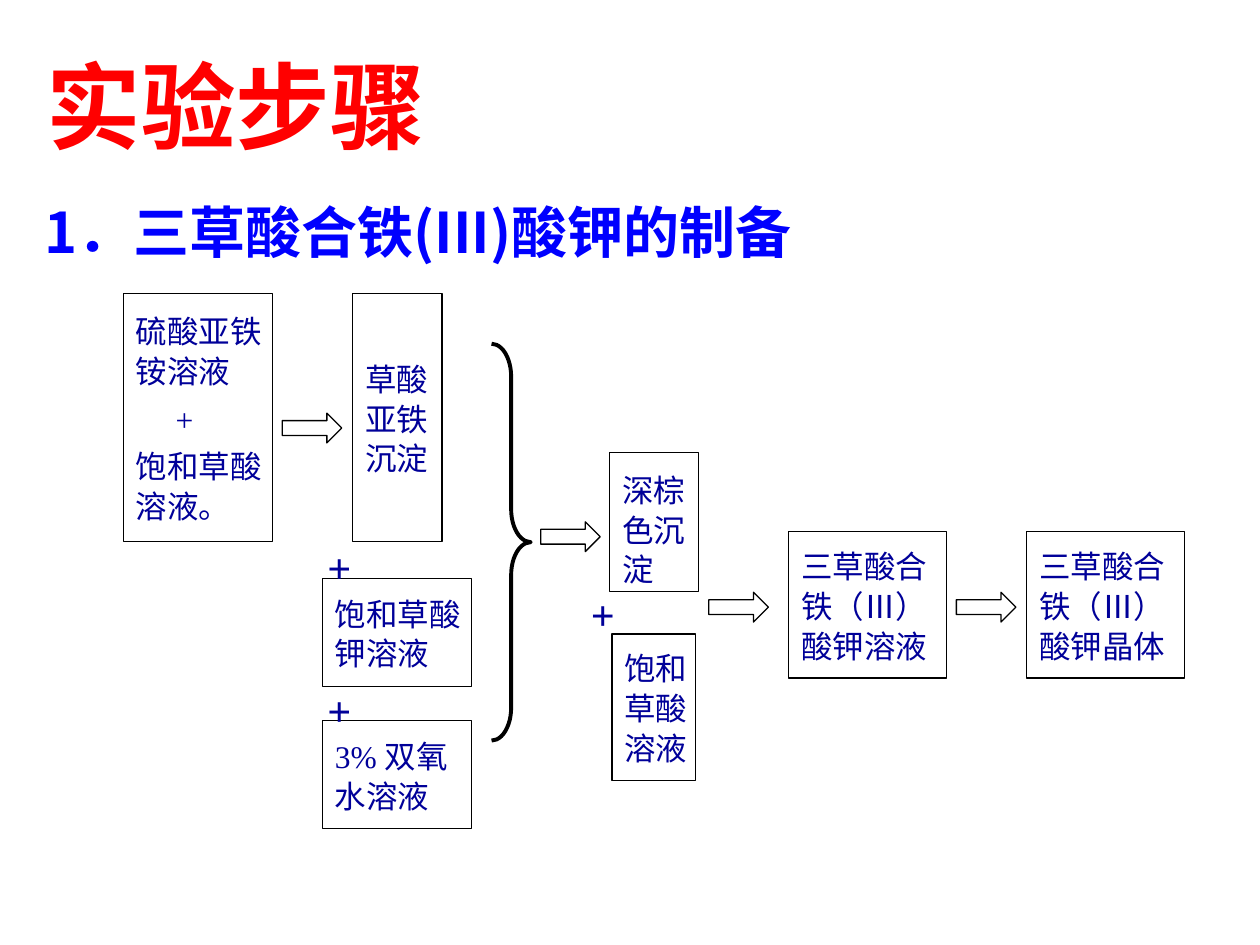
from pptx import Presentation, util as u
from pptx.dml.color import RGBColor
from pptx.enum import shapes, text
from pptx.oxml.ns import qn
from lxml import etree

THEME = {
    "red": "FF0000", "blue": "0000FF", "navy": "000099", "black": "000000",
    "sans": "Noto Sans CJK SC", "serif": "Times New Roman",
    "title": 54, "subtitle": 32, "plus": 24, "body": 18,
    "thin": 0.75, "thick": 2.25,
}

# All positions and sizes are in centimetres: left, top, width, height.
TITLE = ("实验步骤", (0.69, 0.53, 22.86, 3.18))
SUBTITLE = ("1．三草酸合铁(III)酸钾的制备", (0.64, 3.86, 18.92, 1.63))
STEPS = {
    "reagents": (["硫酸亚铁铵溶液", "+", "饱和草酸溶液。"], (2.49, 5.92, 3, 5)),
    "oxalate": (["草酸亚铁沉淀"], (7.11, 5.92, 1.8, 5)),
    "potassium": (["饱和草酸钾溶液"], (6.5, 11.66, 3, 2.18)),
    "peroxide": (["3% 双氧水溶液"], (6.5, 14.53, 3, 2.18)),
    "brown": (["深棕色沉淀"], (12.29, 9.12, 1.8, 2.8)),
    "acid": (["饱和草酸溶液"], (12.34, 12.78, 1.68, 2.95)),
    "solution": (["三草酸合铁（Ⅲ）酸钾溶液"], (15.9, 10.72, 3.18, 2.95)),
    "crystals": (["三草酸合铁（Ⅲ）酸钾晶体"], (20.7, 10.72, 3.18, 2.95)),
}
BRACE = (9.91, 6.93, 0.79, 8)
PLUSES = [(6.35, 10.49), (6.35, 13.36), (11.66, 11.43)]
PLUS_SIZE = (2.9, 1.57)
ARROW_SIZE = (1.2, 0.6)
ARROW_GAP = 0.2
# Each arrow follows the place named first; the number is its middle height.
ARROWS = [("reagents", 8.63), ("brace", 10.82), ("brown", 12.24), ("solution", 12.24)]


def lengths(values):
    return [u.Cm(value) for value in values]


def write(box, lines, size, color, font, bold=False, middle=False,
          spacing=None, before=0, right=0.25, top=0.13, indents=None):
    """Fill a box with paragraphs; indents maps a paragraph index to its indent."""
    frame = box.text_frame
    frame.word_wrap = True
    frame.margin_left, frame.margin_right = lengths((0.25, right))
    frame.margin_top, frame.margin_bottom = lengths((top, 0.13))
    frame.vertical_anchor = text.MSO_ANCHOR.MIDDLE if middle else text.MSO_ANCHOR.TOP
    for index, line in enumerate(lines):
        para = frame.paragraphs[0] if index == 0 else frame.add_paragraph()
        para.alignment = text.PP_ALIGN.LEFT
        if spacing:
            para.line_spacing = spacing
        if index:
            para.space_before = u.Pt(before)
        if indents and index in indents:
            para._p.get_or_add_pPr().set("marL", str(u.Cm(indents[index])))
        span = para.add_run()
        span.text = line
        span.font.size = u.Pt(size)
        span.font.bold = bold
        span.font.color.rgb = RGBColor.from_string(color)
        span.font.name = font
        east_asian = etree.SubElement(span._r.get_or_add_rPr(), qn("a:ea"))
        east_asian.set("typeface", THEME["sans"])


def add_outline(page, kind, place, width=THEME["thin"]):
    shape = page.shapes.add_shape(kind, *lengths(place))
    shape.shadow.inherit = False
    shape.fill.background()
    shape.line.color.rgb = RGBColor.from_string(THEME["black"])
    shape.line.width = u.Pt(width)
    return shape


def add_label(page, line, place, **style):
    write(page.shapes.add_textbox(*lengths(place)), [line], **style)


def main():
    deck = Presentation()
    deck.slide_width, deck.slide_height = lengths((25.4, 19.05))
    page = deck.slides.add_slide(deck.slide_layouts[6])

    add_label(page, *TITLE, size=THEME["title"], color=THEME["red"],
              font=THEME["sans"], bold=True, middle=True)
    add_label(page, *SUBTITLE, size=THEME["subtitle"], color=THEME["blue"],
              font=THEME["sans"], bold=True)

    for name, (lines, place) in STEPS.items():
        box = add_outline(page, shapes.MSO_SHAPE.RECTANGLE, place)
        write(box, lines, THEME["body"], THEME["navy"], THEME["serif"],
              middle=True, spacing=1.05, before=4.5, right=0.03,
              top=0.4 if name == "brown" else 0.13,
              indents={1: 0.8})

    brace = add_outline(page, shapes.MSO_SHAPE.RIGHT_BRACE, BRACE, THEME["thick"])
    brace.adjustments[0] = 0.84

    for corner in PLUSES:
        add_label(page, "+", corner + PLUS_SIZE, size=THEME["plus"],
                  color=THEME["navy"], font=THEME["serif"], bold=True, spacing=1.3)

    places = {name: place for name, (_, place) in STEPS.items()}
    places["brace"] = BRACE
    width, height = ARROW_SIZE
    for name, center in ARROWS:
        left = places[name][0] + places[name][2] + ARROW_GAP
        add_outline(page, shapes.MSO_SHAPE.RIGHT_ARROW,
                    (left, center - height / 2, width, height))

    deck.save("out.pptx")


if __name__ == "__main__":
    main()
